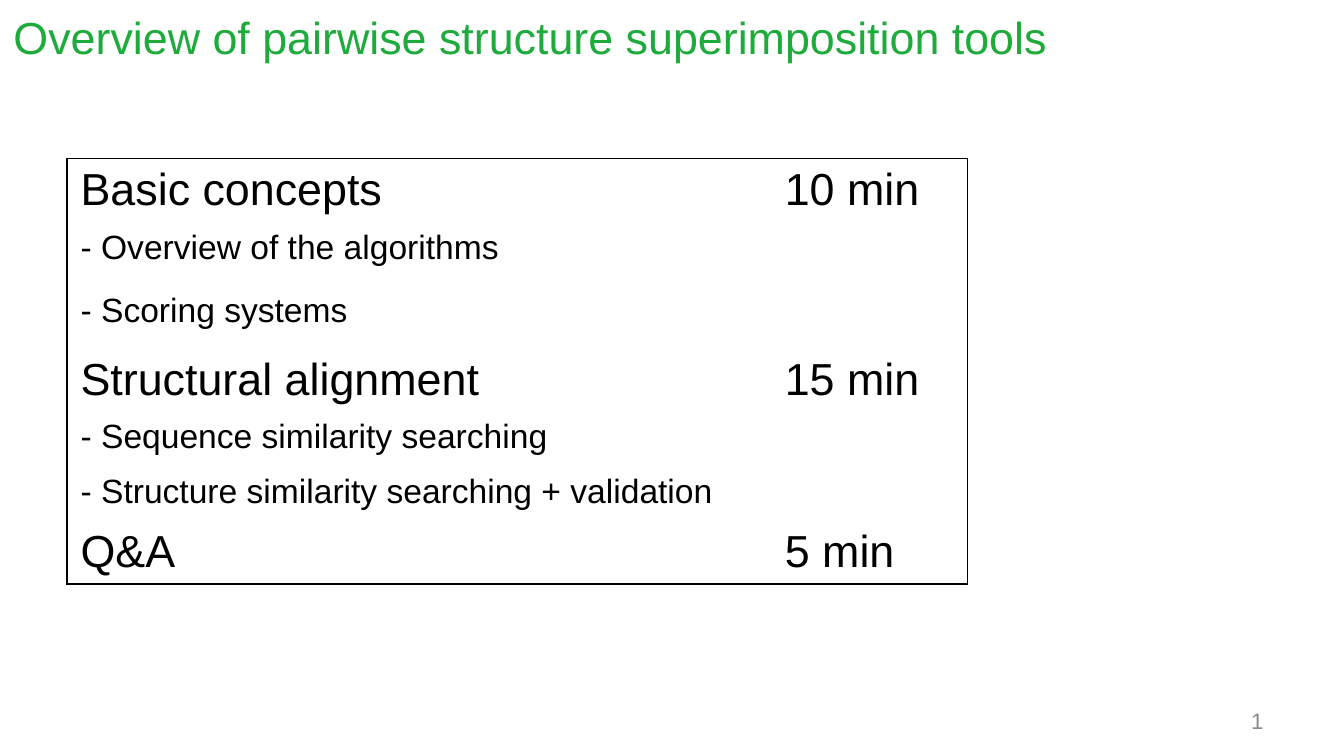
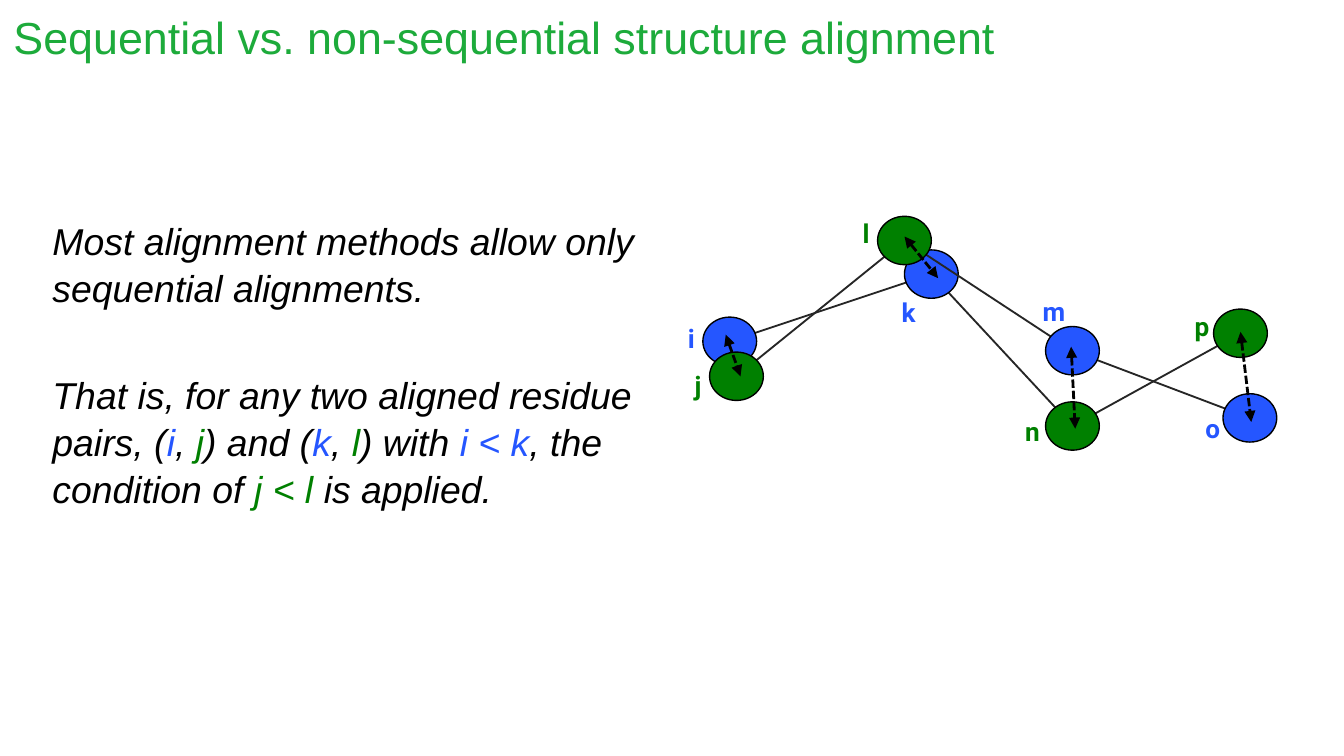
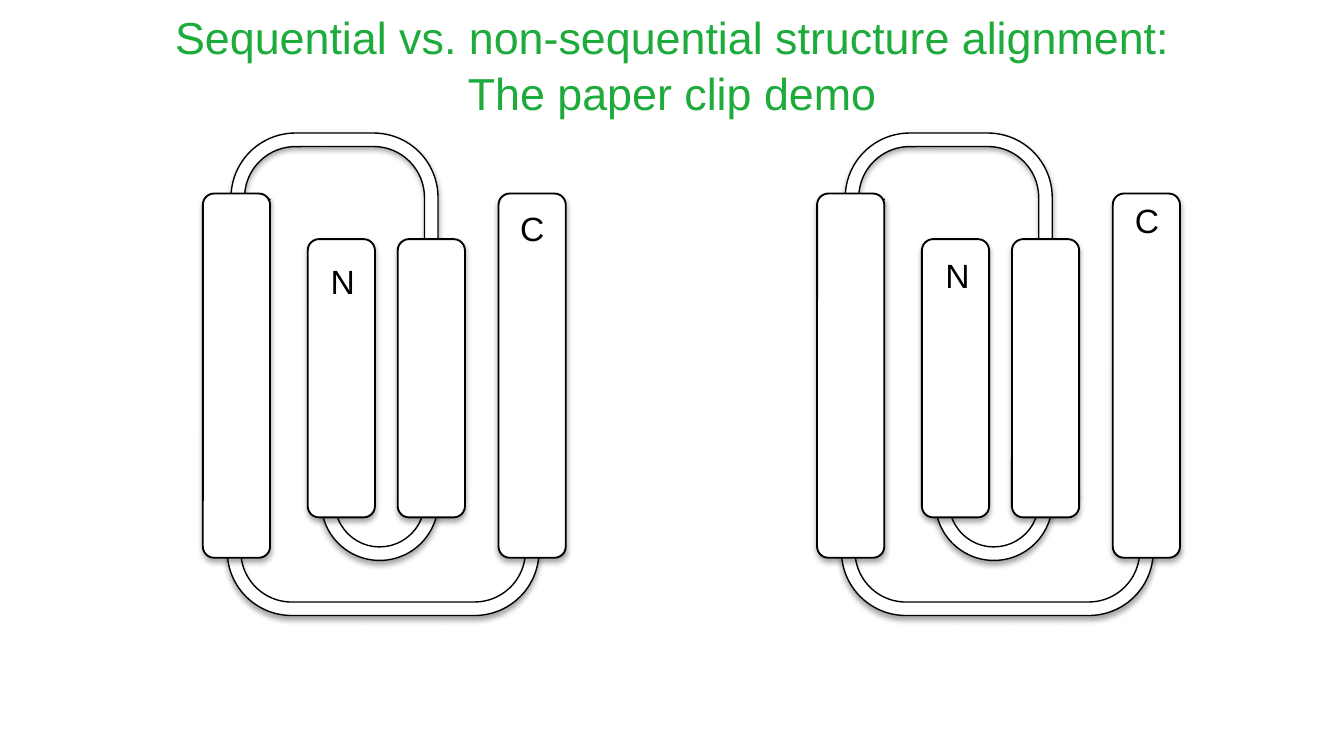
from lxml.etree import SubElement
from pptx import Presentation
from pptx.dml.color import RGBColor
from pptx.enum.dml import MSO_LINE_DASH_STYLE as Dash
from pptx.enum.shapes import MSO_CONNECTOR as Connector, MSO_SHAPE as Shape
from pptx.enum.text import MSO_ANCHOR as Anchor, MSO_AUTO_SIZE as AutoSize, PP_ALIGN as Align
from pptx.oxml.ns import qn
from pptx.util import Inches, Pt

BLACK = RGBColor(0x00, 0x00, 0x00)
WHITE = RGBColor(0xFF, 0xFF, 0xFF)
TITLE_GREEN = RGBColor(0x1D, 0xAB, 0x3B)
GREEN = RGBColor(0x00, 0x80, 0x00)
BLUE = RGBColor(0x25, 0x56, 0xFF)
CHARCOAL = RGBColor(0x26, 0x26, 0x26)
GREY = RGBColor(0x8C, 0x8C, 0x8C)

GRID = Inches(0.1)
COLUMNS, ROWS = 100, 56.25
TITLE_ONLY, TITLE_AND_BODY = 5, 1


def cells(*counts):
    return [round(count * GRID) for count in counts]


def add_xml(parent, tag, **attributes):
    return SubElement(parent, qn(tag), attributes)


def write(para, text, font="Arial", size=18, color=BLACK, bold=False, italic=False, align=None):
    if align is not None:
        para.alignment = align
    for number, line in enumerate(text.split("\n")):
        if number:
            para.add_line_break()
        span = para.add_run()
        span.text = line
        span.font.name = font
        span.font.size = Pt(size)
        span.font.color.rgb = color
        span.font.bold = bold
        span.font.italic = italic


class SlideBuilder:
    def __init__(self):
        self.deck = Presentation()
        self.deck.slide_width, self.deck.slide_height = cells(COLUMNS, ROWS)
        self.page = None

    def start(self, title, layout=TITLE_ONLY, align=Align.LEFT):
        self.page = self.deck.slides.add_slide(self.deck.slide_layouts[layout])
        frame = self.place(self.page.shapes.title, 0, 0, COLUMNS, 9.4)
        frame.paragraphs[0].line_spacing = 1.05
        write(frame.paragraphs[0], title, size=24, color=TITLE_GREEN, align=align)

    def place(self, box, *area):
        box.left, box.top, box.width, box.height = cells(*area)
        frame = box.text_frame
        frame.word_wrap = True
        frame.auto_size = AutoSize.NONE
        frame.vertical_anchor = Anchor.TOP
        return frame

    def body(self, paragraphs, *area, gap):
        frame = self.place(self.page.placeholders[1], *area)
        for number, spans in enumerate(paragraphs):
            para = frame.add_paragraph() if number else frame.paragraphs[0]
            para.line_spacing = 1.05
            para.space_before = Pt(gap if number else 0)
            layout = para._p.get_or_add_pPr()
            layout.set("marL", "0")
            layout.set("indent", "0")
            add_xml(layout, "a:buNone")
            for text, color in spans:
                write(para, text, size=20, color=color, italic=True)

    def text(self, text, *area, anchor=Anchor.TOP, wrap=True, fill=None, **style):
        box = self.page.shapes.add_textbox(*cells(*area))
        frame = box.text_frame
        frame.word_wrap = wrap
        frame.vertical_anchor = anchor
        if fill is not None:
            box.fill.solid()
            box.fill.fore_color.rgb = fill
        write(frame.paragraphs[0], text, **style)

    def shape(self, kind, *area, fill=WHITE, width=0.75, shadow=False):
        shape = self.page.shapes.add_shape(kind, *cells(*area))
        shape.fill.solid()
        shape.fill.fore_color.rgb = fill
        shape.line.color.rgb = BLACK
        shape.line.width = Pt(width)
        shape.shadow.inherit = False
        if shadow:
            effects = shape._element.spPr.find(qn("a:effectLst"))
            outer = add_xml(effects, "a:outerShdw", blurRad=str(Pt(3.1)), dist=str(Pt(1.8)),
                            dir="5400000", rotWithShape="0")
            color = add_xml(outer, "a:srgbClr", val=str(BLACK))
            add_xml(color, "a:alpha", val="35000")
        return shape

    def loop(self, *area, rotation=0):
        arrow = self.shape(Shape.U_TURN_ARROW, *area, shadow=True)
        for number, value in enumerate((0.105, 0.25, 0.236, 0.5, 0.75)):
            arrow.adjustments[number] = value
        arrow.rotation = rotation
        arrow._element.spPr.find(qn("a:xfrm")).set("flipH", "1")

    def line(self, start, end, color=CHARCOAL, width=1, arrows=False):
        link = self.page.shapes.add_connector(Connector.STRAIGHT, *cells(*start, *end))
        link.line.color.rgb = color
        link.line.width = Pt(width)
        if arrows:
            link.line.dash_style = Dash.SQUARE_DOT
            for tag in ("a:headEnd", "a:tailEnd"):
                add_xml(link.line._get_or_add_ln(), tag, type="triangle")
        add_xml(link._element.spPr, "a:effectLst")

    def agenda(self, entries, left, top, widths):
        heights = [height for _, _, _, height in entries]
        frame = self.page.shapes.add_table(
            len(entries), len(widths), *cells(left, top, sum(widths), sum(heights)))
        table = frame.table
        table.first_row = table.horz_banding = False
        for column, width in zip(table.columns, cells(*widths)):
            column.width = width
        for row, height in zip(table.rows, cells(*heights)):
            row.height = height
        for row, (topic, minutes, size, _) in enumerate(entries):
            for column, text in enumerate((topic, minutes)):
                cell = table.cell(row, column)
                if text:
                    write(cell.text_frame.paragraphs[0], text, size=size)
                sides = {"a:lnL": column == 0, "a:lnR": column == len(widths) - 1,
                         "a:lnT": row == 0, "a:lnB": row == len(entries) - 1}
                for tag, outer in sides.items():
                    border = add_xml(cell._tc.get_or_add_tcPr(), tag, w=str(Pt(1)))
                    if outer:
                        fill = add_xml(border, "a:solidFill")
                        add_xml(fill, "a:srgbClr", val=str(BLACK))
                    else:
                        add_xml(border, "a:noFill")
                cell.fill.background()

    def paper_clip(self, left):
        self.loop(left + 8.8, 32.1, 10.6, 9.6, rotation=180)
        self.loop(left + 1.8, 36.2, 25.1, 9.6, rotation=180)
        self.loop(left + 0.2, 9.9, 17.3, 9.6)
        for offset, top, height in ((0, 14.4, 27.1), (22, 14.4, 27.1),
                                    (7.8, 17.8, 20.7), (14.5, 17.8, 20.7)):
            self.shape(Shape.ROUNDED_RECTANGLE, left + offset, top, 5, height,
                       width=1, shadow=True)


def agenda_slide(builder):
    builder.start("Overview of pairwise structure superimposition tools")
    builder.agenda([
        ("Basic concepts", "10 min", 24, 4.7),
        ("- Overview of the algorithms", "", 18, 4.7),
        ("- Scoring systems", "", 18, 4.7),
        ("Structural alignment", "15 min", 24, 4.7),
        ("- Sequence similarity searching", "", 18, 3.8),
        ("- Structure similarity searching + validation", "", 18, 3.8),
        ("Q&A", "5 min", 24, 4.7),
    ], 5, 11.8, (52.4, 14.6))
    builder.text("1", 71.7, 52.1, 23.3, 3, anchor=Anchor.MIDDLE,
                 size=12, color=GREY, align=Align.RIGHT)


def residues_slide(builder):
    builder.start("Sequential vs. non-sequential structure alignment", TITLE_AND_BODY)
    builder.body([
        [("Most alignment methods allow only sequential alignments.", BLACK)],
        [("That is, for any two aligned residue pairs, (", BLACK), ("i", BLUE), (", ", BLACK),
         ("j", GREEN), (") and (", BLACK), ("k", BLUE), (", ", BLACK), ("l", GREEN),
         (") with ", BLACK), ("i < k", BLUE), (", the condition of ", BLACK),
         ("j < l ", GREEN), ("is applied.", BLACK)],
    ], 2.9, 15.6, 51.8, 37.1, gap=32)

    residues = {
        "i": (54.3, 25.4, BLUE, 50.2, 23.5, 3.1),
        "j": (54.8, 28, GREEN, 50.7, 27, 3.3),
        "k": (69.3, 20.4, BLUE, 66.1, 21.6, 3.4),
        "l": (67.3, 17.9, GREEN, 63.2, 15.7, 3.3),
        "m": (79.8, 26.1, BLUE, 76.6, 21.5, 4.1),
        "n": (79.8, 31.7, GREEN, 75.3, 30.4, 3.6),
        "o": (93, 31.1, BLUE, 88.7, 30.2, 3.4),
        "p": (92.3, 24.8, GREEN, 87.9, 22.6, 3.8),
    }

    def bond(first, second):
        builder.line(residues[first][:2], residues[second][:2])

    def beads(names):
        for name in names:
            x, y, color = residues[name][:3]
            builder.shape(Shape.OVAL, x - 2, y - 1.8, 4, 3.6, fill=color)

    for first, second in ("om", "pn", "lj", "nk", "ki"):
        bond(first, second)
    beads("okipnj")
    bond("m", "l")
    beads("ml")

    for start, end in (((54, 24.9), (55.1, 28)), ((67.3, 17.6), (69.8, 20.7)),
                       ((79.7, 25.8), (80, 31.9)), ((92.3, 24.7), (93.1, 31.4))):
        builder.line(start, end, color=BLACK, width=1.5, arrows=True)
    for name, (_, _, color, left, top, width) in residues.items():
        builder.text(name, left, top, width, 3.4, wrap=False,
                     font="Roboto", size=14, color=color, bold=True)


def paper_clip_slide(builder):
    builder.start("Sequential vs. non-sequential structure alignment:\nThe paper clip demo",
                  align=Align.CENTER)
    builder.paper_clip(15.1)
    builder.text("N", 23.3, 18.9, 4.4, 3.7, fill=WHITE, align=Align.CENTER)
    builder.text("C", 37.6, 15, 4, 4, fill=WHITE, align=Align.CENTER)
    builder.paper_clip(60.8)
    builder.text("N", 68.8, 18.5, 4.9, 4, align=Align.CENTER)
    builder.text("C", 82.9, 14.4, 4.9, 4, align=Align.CENTER)


def main():
    builder = SlideBuilder()
    agenda_slide(builder)
    residues_slide(builder)
    paper_clip_slide(builder)
    builder.deck.save("out.pptx")


if __name__ == "__main__":
    main()
